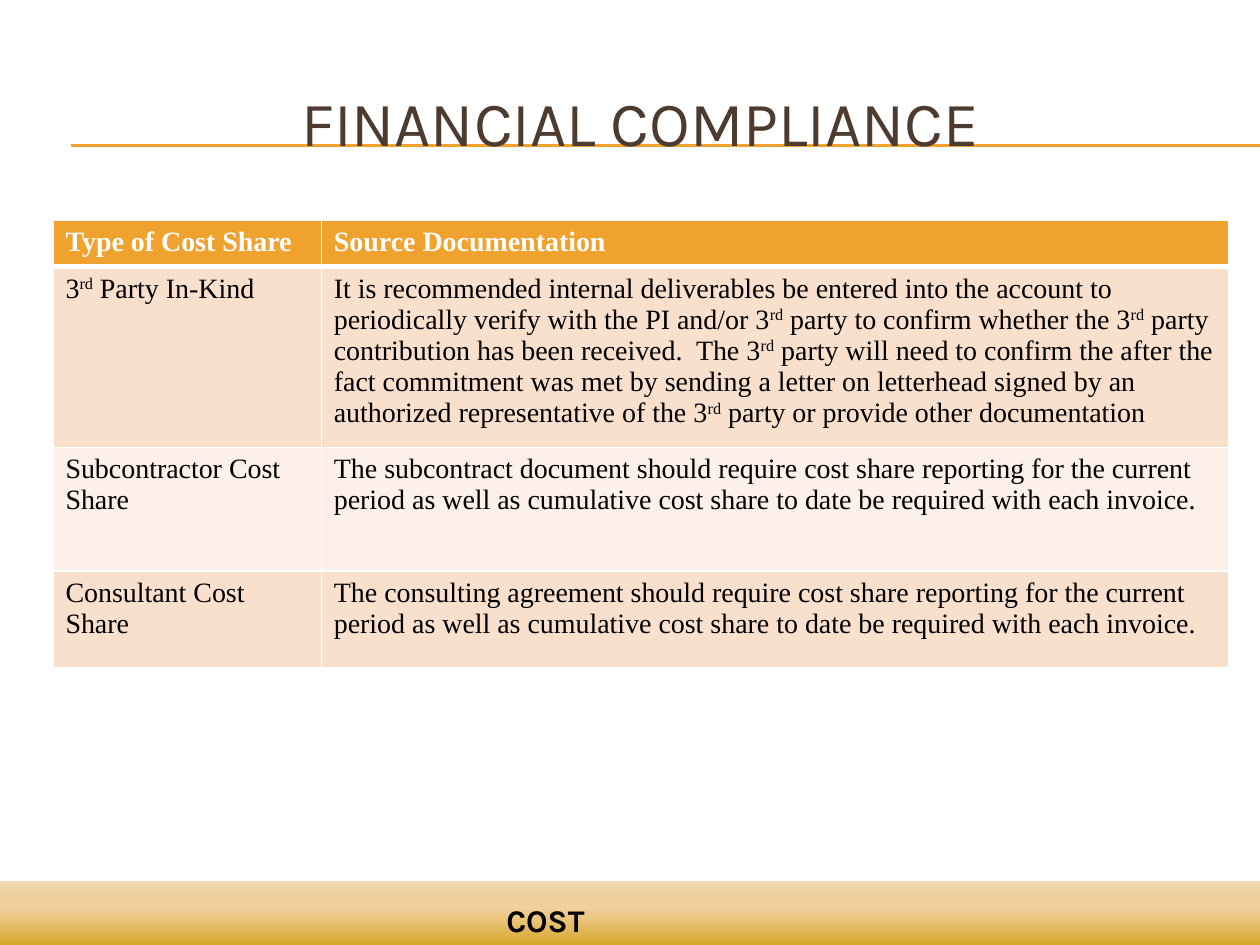
"""Build the Financial Compliance slide with its cost share documentation table."""
from dataclasses import dataclass

from lxml import etree
from pptx import Presentation
from pptx.dml.color import RGBColor
from pptx.enum.shapes import MSO_CONNECTOR, MSO_SHAPE
from pptx.enum.text import MSO_ANCHOR, PP_ALIGN
from pptx.oxml import parse_xml
from pptx.oxml.ns import qn
from pptx.util import Inches, Pt

STRAIGHT = MSO_CONNECTOR.STRAIGHT
RECTANGLE = MSO_SHAPE.RECTANGLE
MIDDLE = MSO_ANCHOR.MIDDLE
TOP = MSO_ANCHOR.TOP
CENTER = PP_ALIGN.CENTER
LEFT = PP_ALIGN.LEFT
DRAWING_NS = "http://schemas.openxmlformats.org/drawingml/2006/main"


@dataclass(frozen=True)
class Theme:
    heading_font: str = "Karla"
    table_font: str = "Times New Roman"
    heading_size: int = 36
    footer_size: int = 18
    table_size: int = 16
    brown: str = "4E3B30"
    orange: str = "F0A22E"
    peach: str = "F9E0CD"
    cream: str = "FCF0E8"
    white: str = "FFFFFF"
    black: str = "000000"
    band_stops: tuple = ((0, "CC9900", 100), (65, "EFC17E", 75), (100, "D68000", 25))


theme = Theme()


def add_run(paragraph, text, font, size, color, bold=False, raised=False):
    run = paragraph.add_run()
    run.text = text
    run.font.name = font
    run.font.size = Pt(size)
    run.font.bold = bold
    run.font.color.rgb = RGBColor.from_string(color)
    if raised:
        run.font._element.set("baseline", "30000")


def add_border(cell, side, width):
    border = etree.SubElement(cell._tc.get_or_add_tcPr(), qn(f"a:{side}"), w=str(Pt(width)))
    fill = etree.SubElement(border, qn("a:solidFill"))
    etree.SubElement(fill, qn("a:srgbClr"), val=theme.white)


presentation = Presentation()
presentation.slide_width = Inches(10)
presentation.slide_height = Inches(7.5)
slide = presentation.slides.add_slide(presentation.slide_layouts[6])

for rule_top in (1.15, 1.16):
    rule = slide.shapes.add_connector(
        STRAIGHT, Inches(0.56), Inches(rule_top), Inches(10), Inches(rule_top)
    )
    rule.line.color.rgb = RGBColor.from_string(theme.orange)
    rule.line.width = Pt(0.75)
    etree.SubElement(rule._element.spPr, qn("a:effectLst"))

footer_band = slide.shapes.add_shape(
    RECTANGLE, Inches(-0.01), Inches(7), Inches(10.03), Inches(0.58)
)
footer_band.shadow.inherit = False
footer_band.line.fill.background()
footer_band.fill.background()
stops = "".join(
    f'<a:gs pos="{position * 1000}"><a:srgbClr val="{color}">'
    f'<a:alpha val="{opacity * 1000}"/></a:srgbClr></a:gs>'
    for position, color, opacity in theme.band_stops
)
gradient = parse_xml(
    f'<a:gradFill xmlns:a="{DRAWING_NS}" rotWithShape="1"><a:gsLst>{stops}</a:gsLst>'
    '<a:lin ang="16200000" scaled="0"/></a:gradFill>'
)
band_properties = footer_band._element.spPr
band_properties.replace(band_properties.find(qn("a:noFill")), gradient)

headings = [
    ("FINANCIAL COMPLIANCE", (0.33, 0.5, 9.5, 0.92), MIDDLE, CENTER,
     theme.heading_size, theme.brown, False),
    ("COST SHARE", (3.92, 7.1, 1.57, 0.4), TOP, LEFT,
     theme.footer_size, theme.black, True),
]
for wording, box, anchor, alignment, size, color, bold in headings:
    heading = slide.shapes.add_textbox(*map(Inches, box)).text_frame
    heading.word_wrap = True
    heading.vertical_anchor = anchor
    heading.paragraphs[0].alignment = alignment
    add_run(heading.paragraphs[0], wording, theme.heading_font, size, color, bold)

cost_share_rows = [
    ("Type of Cost Share", "Source Documentation"),
    (
        "3^rd^ Party In-Kind",
        "It is recommended internal deliverables be entered into the account to "
        "periodically verify with the PI and/or 3^rd^ party to confirm whether the "
        "3^rd^ party contribution has been received.  The 3^rd^ party will need to "
        "confirm the after the fact commitment was met by sending a letter on "
        "letterhead signed by an authorized representative of the 3^rd^ party or "
        "provide other documentation",
    ),
]
for provider, agreement in (
    ("Subcontractor", "subcontract document"),
    ("Consultant", "consulting agreement"),
):
    cost_share_rows.append((
        f"{provider} Cost Share",
        f"The {agreement} should require cost share reporting for the current period "
        "as well as cumulative cost share to date be required with each invoice.",
    ))

column_widths = (2.13, 7.2)
row_heights = (0.34, 1.33, 0.98, 0.77)
row_fills = (theme.orange, theme.peach, theme.cream, theme.peach)
cost_share_table = slide.shapes.add_table(
    len(row_heights), len(column_widths), Inches(0.42), Inches(1.75),
    Inches(sum(column_widths)), Inches(sum(row_heights)),
).table
for column, width in zip(cost_share_table.columns, column_widths):
    column.width = Inches(width)

for index, (row, height, fill, wordings) in enumerate(
    zip(cost_share_table.rows, row_heights, row_fills, cost_share_rows)
):
    row.height = Inches(height)
    is_header = index == 0
    text_color = theme.white if is_header else theme.black
    side_widths = {"lnL": 1, "lnR": 1, "lnT": 3 if index == 1 else 1, "lnB": 3 if is_header else 1}
    for cell, wording in zip(row.cells, wordings):
        for side, width in side_widths.items():
            add_border(cell, side, width)
        cell.fill.solid()
        cell.fill.fore_color.rgb = RGBColor.from_string(fill)
        for part, text in enumerate(wording.split("^")):
            add_run(
                cell.text_frame.paragraphs[0], text, theme.table_font, theme.table_size,
                text_color, bold=is_header, raised=part % 2 == 1,
            )

cost_share_table.cell(2, 1).text_frame.paragraphs[0].space_after = Pt(10)

presentation.save("out.pptx")
